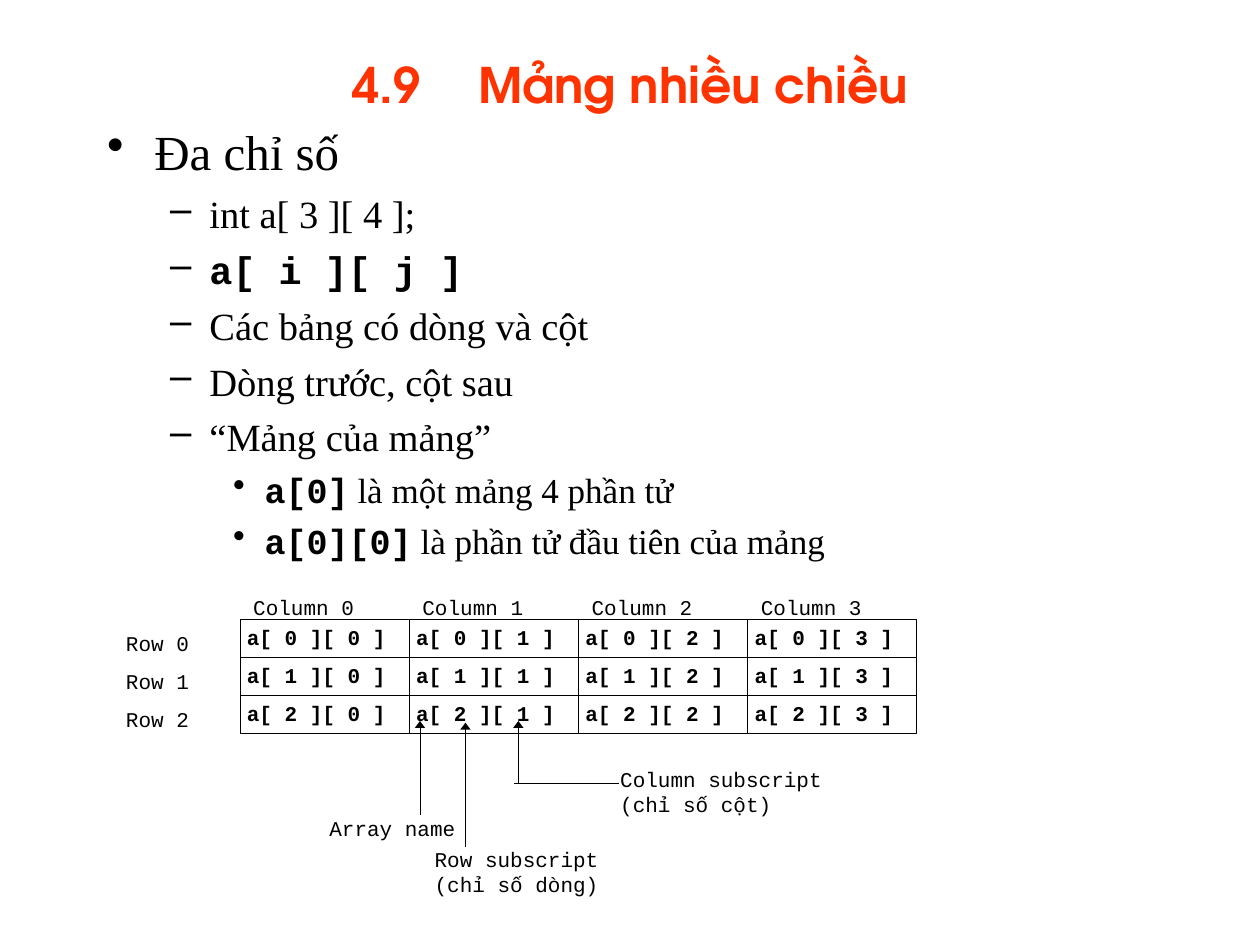
import lxml.etree
import pptx
import pptx.dml.color
import pptx.enum.shapes
import pptx.enum.text
import pptx.oxml.ns
import pptx.util

Pt = pptx.util.Pt
qn = pptx.oxml.ns.qn
COLORS = {"title": "FF3300", "ink": "000000", "paper": "FFFFFF"}
RGB = {k: pptx.dml.color.RGBColor.from_string(v) for k, v in COLORS.items()}
SERIF, MONO = "Times New Roman", "Courier New"


def add_run(p, text, size, font=MONO, bold=False, color="ink"):
    r = p.add_run()
    r.text = text
    r.font.size = Pt(size)
    r.font.name = font
    r.font.bold = bold
    r.font.color.rgb = RGB[color]


def add_label(s, left, top, width, lines, bold=False):
    """Add a margin-free monospace label with one paragraph per line."""
    tf = s.shapes.add_textbox(Pt(left), Pt(top), Pt(width), Pt(14.4 * len(lines))).text_frame
    tf.word_wrap = True
    tf.margin_left = tf.margin_right = tf.margin_top = tf.margin_bottom = 0
    for i, line in enumerate(lines):
        p = tf.add_paragraph() if i else tf.paragraphs[0]
        add_run(p, line, 12, bold=bold)


prs = pptx.Presentation()
prs.slide_width, prs.slide_height = Pt(720), Pt(540)
s = prs.slides.add_slide(prs.slide_layouts[1])

# Title
title = s.shapes.title
title.left, title.top, title.width, title.height = Pt(54), Pt(6), Pt(612), Pt(84)
tf = title.text_frame
tf.auto_size = pptx.enum.text.MSO_AUTO_SIZE.NONE
tf.vertical_anchor = pptx.enum.text.MSO_ANCHOR.MIDDLE
p = tf.paragraphs[0]
p.alignment = pptx.enum.text.PP_ALIGN.CENTER
add_run(p, "4.9\tMảng nhiều chiều", 28, "TeX Gyre Adventor", True, "title")
tabs = lxml.etree.SubElement(p._p.get_or_add_pPr(), qn("a:tabLst"))
for inch in range(8):
    lxml.etree.SubElement(tabs, qn("a:tab"), pos=str(Pt(72 * inch)), algn="l")

# Bulleted list: per level size, space before, left margin, hanging indent, bullet
LEVELS = [(28, 7, 27, 27, "•"), (22, 5.5, 58.5, 22.5, "–"), (20, 5, 90, 18, "•")]
ITEMS = [
    (0, [("Đa chỉ số", SERIF)]),
    (1, [("int a[ 3 ][ 4 ];", SERIF)]),
    (1, [("a[ i ][ j ]", MONO)]),
    (1, [("Các bảng có dòng và cột", SERIF)]),
    (1, [("Dòng trước, cột sau", SERIF)]),
    (1, [("“Mảng của mảng”", SERIF)]),
    (2, [("a[0]", MONO), (" là một mảng 4 phần tử", SERIF)]),
    (2, [("a[0][0]", MONO), (" là phần tử đầu tiên của mảng", SERIF)]),
]
body = s.placeholders[1]
body.left, body.top, body.width, body.height = Pt(54), Pt(66), Pt(612), Pt(444)
tf = body.text_frame
tf.auto_size = pptx.enum.text.MSO_AUTO_SIZE.NONE
for i, (level, runs) in enumerate(ITEMS):
    size, before, margin, hang, bullet = LEVELS[level]
    p = tf.add_paragraph() if i else tf.paragraphs[0]
    p.level = level
    p.space_before = Pt(before)
    pPr = p._p.get_or_add_pPr()
    pPr.set("marL", str(Pt(margin)))
    pPr.set("indent", str(-Pt(hang)))
    lxml.etree.SubElement(pPr, qn("a:buFontTx"))
    lxml.etree.SubElement(pPr, qn("a:buChar"), char=bullet)
    for text, font in runs:
        add_run(p, text, size, font, font == MONO)

# Array grid with row and column labels
ROWS, COLS = 3, 4
GRID_X, GRID_Y, CELL_W, CELL_H = 137, 353.7, 96.7, 21.8
for row in range(ROWS):
    add_label(s, 72, GRID_Y + 6.5 + row * CELL_H, 52.6, [f"Row {row}"])
for col in range(COLS):
    x = GRID_X + col * CELL_W
    add_label(s, x + 7.7, 339.8, 81.4, [f"Column {col}"])
    for row in range(ROWS):
        y = GRID_Y + row * CELL_H
        sp = s.shapes.add_shape(
            pptx.enum.shapes.MSO_SHAPE.RECTANGLE, Pt(x), Pt(y), Pt(CELL_W), Pt(CELL_H))
        sp.shadow.inherit = False
        sp.fill.solid()
        sp.fill.fore_color.rgb = RGB["paper"]
        sp.line.color.rgb = RGB["ink"]
        sp.line.width = Pt(0.25)
        add_label(s, x + 4.1, y + 3.3, 88.6, [f"a[ {row} ][ {col} ]"], bold=True)

# Callouts for the parts of a[ 2 ][ 1 ]
add_label(s, 248.4, 483.8, 139, ["Row subscript", "(chỉ số dòng)"])
add_label(s, 188.2, 466, 107.3, ["Array name"])
add_label(s, 354.4, 438.2, 169.2, ["Column subscript", "(chỉ số cột)"])

LINES = [  # x1, y1, x2, y2, arrowhead at the start
    (240, 412, 240, 465.8, True),
    (266, 413, 266, 483.8, True),
    (296.2, 412, 296.2, 447.6, True),
    (353.7, 447.6, 293.8, 447.6, False),
]
for x1, y1, x2, y2, arrow in LINES:
    line = s.shapes.add_connector(
        pptx.enum.shapes.MSO_CONNECTOR.STRAIGHT, Pt(x1), Pt(y1), Pt(x2), Pt(y2))
    line.line.color.rgb = RGB["ink"]
    line.line.width = Pt(0.25)
    if arrow:
        lxml.etree.SubElement(
            line.line._get_or_add_ln(), qn("a:headEnd"), type="triangle", w="med", len="sm")
    lxml.etree.SubElement(line._element.spPr, qn("a:effectLst"))

prs.save("out.pptx")
